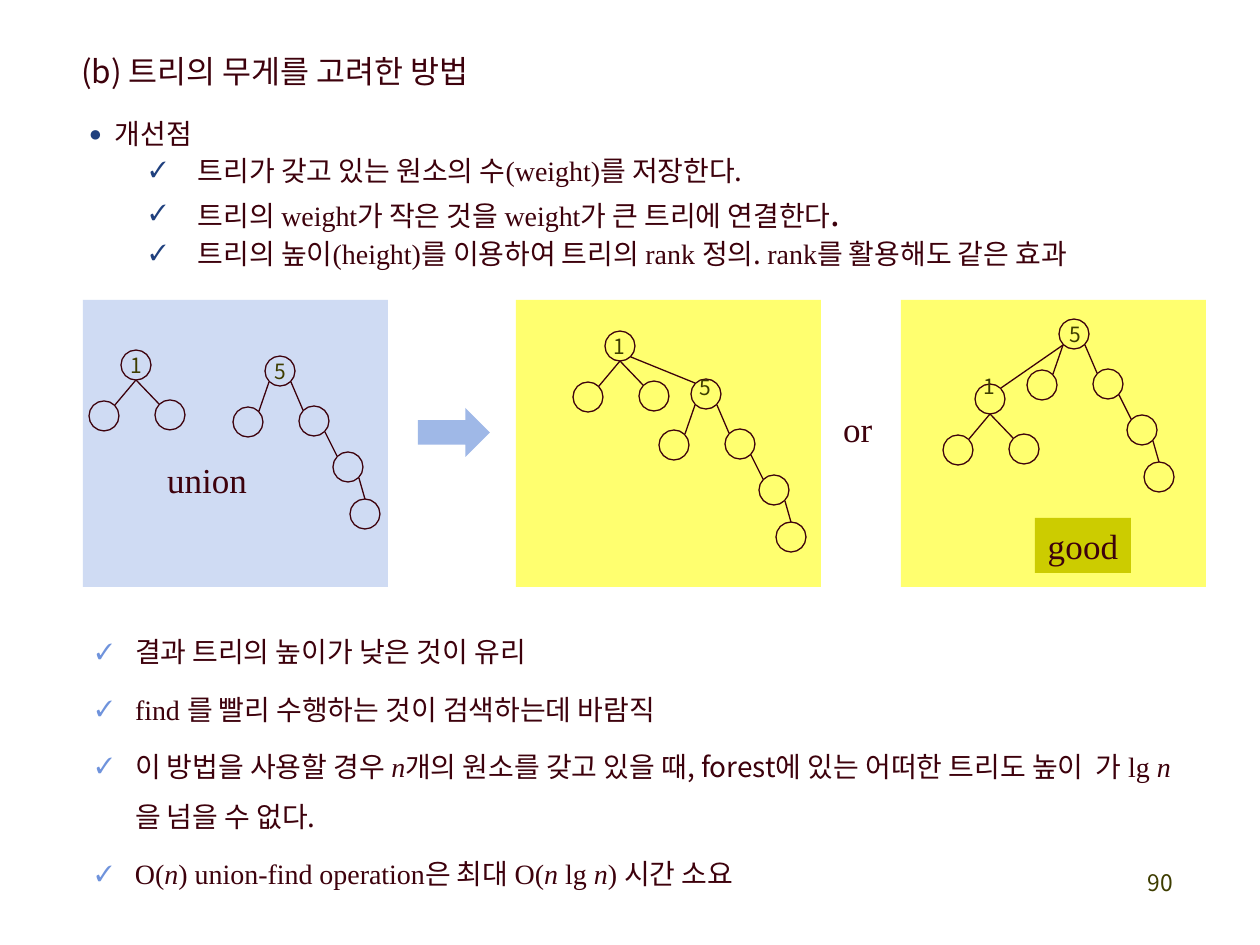
from dataclasses import dataclass
from math import cos, pi, sin

from lxml.etree import SubElement
from pptx import Presentation
from pptx.dml.color import RGBColor
from pptx.enum.shapes import MSO_SHAPE as Shape
from pptx.enum.text import MSO_ANCHOR as Anchor, PP_ALIGN as Align
from pptx.oxml.ns import qn
from pptx.util import Pt

PX = 914400 / 126


@dataclass(frozen=True)
class Theme:
    sans: str = "Noto Sans CJK KR"
    serif: str = "Times New Roman"
    ink: str = "3D010C"
    label: str = "3E3D00"
    bullet: str = "1F407E"
    pale_bullet: str = "6F93DC"
    before: str = "CFDBF3"
    after: str = "FFFF6F"
    arrow: str = "9FB8E7"
    badge: str = "CCCC00"
    node_size: int = 12
    number_size: int = 13
    body_size: int = 16
    title_size: int = 18
    caption_size: int = 20


THEME = Theme()
NODE_STYLE = {"size": THEME.node_size, "color": THEME.label, "spacing": 0.2}
RADIUS = 15
DIAGONAL = 11
SITES = {"top": (0, -RADIUS), "bottom": (0, RADIUS),
         "tl": (-DIAGONAL, -DIAGONAL), "tr": (DIAGONAL, -DIAGONAL),
         "bl": (-DIAGONAL, DIAGONAL), "br": (DIAGONAL, DIAGONAL)}
# Node centres relative to the root, and edges as (parent, child, start site, end site)
SMALL_NODES = [(0, 0), (-32, 51), (34, 50)]
SMALL_EDGES = [(0, 1, "bottom", "tr"), (0, 2, "bottom", "tl")]
LARGE_NODES = SMALL_NODES + [(68, 96), (85, 143)]
LARGE_EDGES = [(0, 1, "bl", "tr"), (0, 2, "br", "tl"),
               (2, 3, "br", "tl"), (3, 4, "br", "top")]


def emu(*lengths):
    return [round(length * PX) for length in lengths]


def add_span(para, text, font=THEME.sans, size=THEME.body_size,
             color=THEME.ink, italic=False, spacing=0):
    span = para.add_run()
    span.text = text
    span.font.name = font
    span.font.size = Pt(size)
    span.font.italic = italic
    span.font.color.rgb = RGBColor.from_string(color)
    props = span.font._element
    if spacing:
        props.set("spc", str(round(spacing * 100)))
    SubElement(props, qn("a:ea")).set("typeface", THEME.sans)


def prepare_frame(holder, top=0, wrap=True):
    frame = holder.text_frame
    frame.margin_left = frame.margin_right = frame.margin_bottom = 0
    frame.margin_top = emu(top)[0]
    frame.word_wrap = wrap
    frame.vertical_anchor = Anchor.TOP
    return frame


def add_text(page, text, area, align=Align.LEFT, **style):
    frame = prepare_frame(page.shapes.add_textbox(*emu(*area)), wrap=False)
    para = frame.paragraphs[0]
    para.alignment = align
    add_span(para, text, **style)


def set_indent(para, margin, indent=0):
    props = para._p.get_or_add_pPr()
    for name, length in zip(("marL", "indent"), emu(margin, indent)):
        props.set(name, str(length))
    return props


def set_bullet(para, char, color, margin, indent):
    props = set_indent(para, margin, indent)
    tint = SubElement(props, qn("a:buClr"))
    SubElement(tint, qn("a:srgbClr")).set("val", color)
    SubElement(props, qn("a:buSzPct")).set("val", "78000")
    SubElement(props, qn("a:buFont")).set("typeface", THEME.serif)
    SubElement(props, qn("a:buChar")).set("char", char)


def add_bullets(page, area, items):
    """Each item is (level, space before, line spacing, bullet, spans)."""
    frame = prepare_frame(page.shapes.add_textbox(*emu(*area)))
    for index, (level, before, lines, bullet, spans) in enumerate(items):
        para = frame.add_paragraph() if index else frame.paragraphs[0]
        para.level = level
        if index:
            para.space_before = Pt(before)
        if lines != 1:
            para.line_spacing = lines
        set_bullet(para, *bullet)
        for text, style in spans:
            add_span(para, text, **style)


def add_block(page, kind, area, fill):
    block = page.shapes.add_shape(kind, *emu(*area))
    block.shadow.inherit = False
    block.fill.solid()
    block.fill.fore_color.rgb = RGBColor.from_string(fill)
    block.line.fill.background()
    return block


def place(root, offsets):
    return [(root[0] + dx, root[1] + dy) for dx, dy in offsets]


def circle(centre, steps=16):
    turns = [2 * pi * step / steps for step in range(steps)]
    return [(centre[0] - RADIUS * cos(turn), centre[1] - RADIUS * sin(turn))
            for turn in turns]


def join(nodes, edges):
    return [[(nodes[node][0] + SITES[site][0], nodes[node][1] + SITES[site][1])
             for node, site in ((parent, start), (child, end))]
            for parent, child, start, end in edges]


def add_outline(page, centres, lines=()):
    """Draw node circles and edges as one unfilled outline."""
    contours = [(circle(centre), True) for centre in centres]
    contours += [(line, False) for line in lines]
    builder = None
    for points, closed in contours:
        first, *rest = [emu(*point) for point in points]
        if builder:
            builder.move_to(*first)
        else:
            builder = page.shapes.build_freeform(*first)
        builder.add_line_segments(rest, close=closed)
    outline = builder.convert_to_shape()
    outline.shadow.inherit = False
    outline.fill.background()
    outline.line.color.rgb = RGBColor.from_string(THEME.ink)
    outline.line.width = Pt(0.75)


def add_tree(page, root, name, offsets, edges):
    nodes = place(root, offsets)
    add_outline(page, nodes[:1])
    add_outline(page, nodes[1:], join(nodes, edges))
    add_text(page, name, (root[0] - RADIUS, root[1] - 12, 2 * RADIUS, 28),
             align=Align.CENTER, **NODE_STYLE)


def add_union(page, small_root, large_root, link):
    """Draw both trees, joined by link, an edge from node 0 (small) to 1 (large)."""
    small = place(small_root, SMALL_NODES)
    large = place(large_root, LARGE_NODES)
    add_outline(page, small + large[:1])
    add_outline(page, large[1:], join(small, SMALL_EDGES) + join(large, LARGE_EDGES)
                + join([small_root, large_root], [link]))


def add_labels(page, panel, top, labels):
    """Each label is (text, alignment, left margin, space before)."""
    frame = prepare_frame(page.shapes.add_textbox(*emu(*panel)), top)
    for index, (text, align, margin, before) in enumerate(labels):
        para = frame.add_paragraph() if index else frame.paragraphs[0]
        para.alignment = align
        set_indent(para, margin)
        if index:
            para.space_before = Pt(before)
        add_span(para, text, **NODE_STYLE)


def set_title(page, text):
    title = page.shapes.title
    title.left, title.top, title.width, title.height = emu(81, 52, 433, 42)
    para = prepare_frame(title).paragraphs[0]
    para.alignment = Align.LEFT
    add_span(para, text, size=THEME.title_size)


def main():
    deck = Presentation()
    deck.slide_width, deck.slide_height = emu(1260, 945)
    page = deck.slides.add_slide(deck.slide_layouts[5])
    set_title(page, "(b) 트리의 무게를 고려한 방법")

    sans, serif = {}, {"font": THEME.serif}
    italic = {**serif, "italic": True}
    dot = ("●", THEME.bullet, 28, -26)
    check = ("✓", THEME.bullet, 111, -48)
    pale = ("✓", THEME.pale_bullet, 42, -39)
    add_bullets(page, (87, 117, 1070, 160), [
        (0, 0, 1, dot, [("개선점", sans)]),
        (1, 1.7, 1, check, [("트리가 갖고 있는 원소의 수", sans), ("(weight)", serif),
                            ("를 저장한다.", sans)]),
        (1, 2.6, 1, check, [("트리의 ", sans), ("weight", serif), ("가 작은 것을 ", sans),
                            ("weight", serif), ("가 큰 트리에 연결한다", sans),
                            (".", {"size": THEME.caption_size})]),
        (1, 1.7, 1, check, [("트리의 높이", sans), ("(height)", serif),
                            ("를 이용하여 트리의 ", sans), ("rank ", serif),
                            ("정의. ", sans), ("rank", serif),
                            ("를 활용해도 같은 효과", sans)]),
    ])

    before, after, better = [(left, 300, 305, 287) for left in (83, 516, 901)]
    for panel, fill in ((before, THEME.before), (after, THEME.after),
                        (better, THEME.after)):
        add_block(page, Shape.RECTANGLE, panel, fill)
    add_tree(page, (136, 365), "1", SMALL_NODES, SMALL_EDGES)
    add_tree(page, (280, 371), "5", LARGE_NODES, LARGE_EDGES)
    add_union(page, (620, 346), (706, 394), (0, 1, "br", "tl"))
    add_labels(page, after, 34, [("1", Align.LEFT, 98, 0), ("5", Align.CENTER, 74, 9)])
    add_union(page, (990, 399), (1074, 334), (0, 1, "tr", "bl"))
    add_labels(page, better, 22, [("5", Align.CENTER, 43, 0), ("1", Align.LEFT, 83, 15)])
    add_block(page, Shape.RIGHT_ARROW, (418, 408, 72, 49), THEME.arrow)

    caption = {"font": THEME.serif, "size": THEME.caption_size}
    add_text(page, "union", (167, 458, 82, 44), **caption)
    add_text(page, "or", (843, 407, 33, 44), **caption)
    badge = add_block(page, Shape.RECTANGLE, (1035, 518, 96, 55), THEME.badge)
    para = prepare_frame(badge, 6, wrap=False).paragraphs[0]
    para.alignment = Align.CENTER
    add_span(para, "good", spacing=0.1, **caption)

    add_bullets(page, (93, 635, 1103, 202), [
        (0, 0, 1, pale, [("결과 트리의 높이가 낮은 것이 유리", sans)]),
        (0, 13.5, 1, pale, [("find ", serif),
                            ("를 빨리 수행하는 것이 검색하는데 바람직", sans)]),
        (0, 3.8, 1.5, pale, [
            ("이 방법을 사용할 경우 ", sans), ("n", italic),
            ("개의 원소를 갖고 있을 때, forest에 있는 어떠한 트리도 높이  가 ", sans),
            ("lg ", serif), ("n", italic), ("을 넘을 수 없다.", sans)]),
    ])
    add_bullets(page, (93, 857, 670, 36), [
        (0, 0, 1, pale, [("O(", serif), ("n", italic), (") union-find operation", serif),
                         ("은 최대 ", sans), ("O(", serif), ("n ", italic),
                         ("lg ", serif), ("n", italic), (") ", serif),
                         ("시간 소요", sans)]),
    ])
    add_text(page, "90", (1148, 869, 30, 30),
             size=THEME.number_size, color=THEME.label, spacing=0.2)
    deck.save("out.pptx")


if __name__ == "__main__":
    main()
